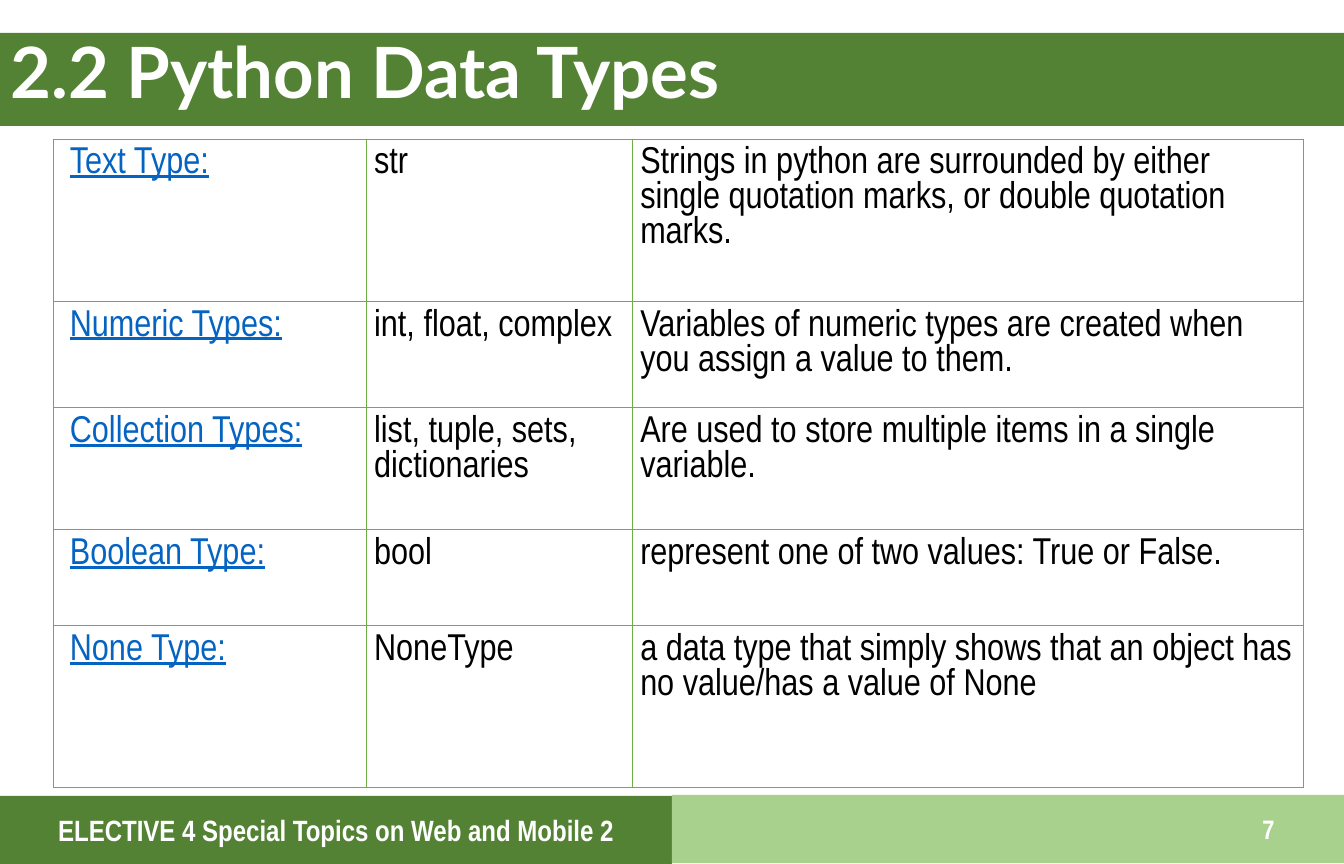
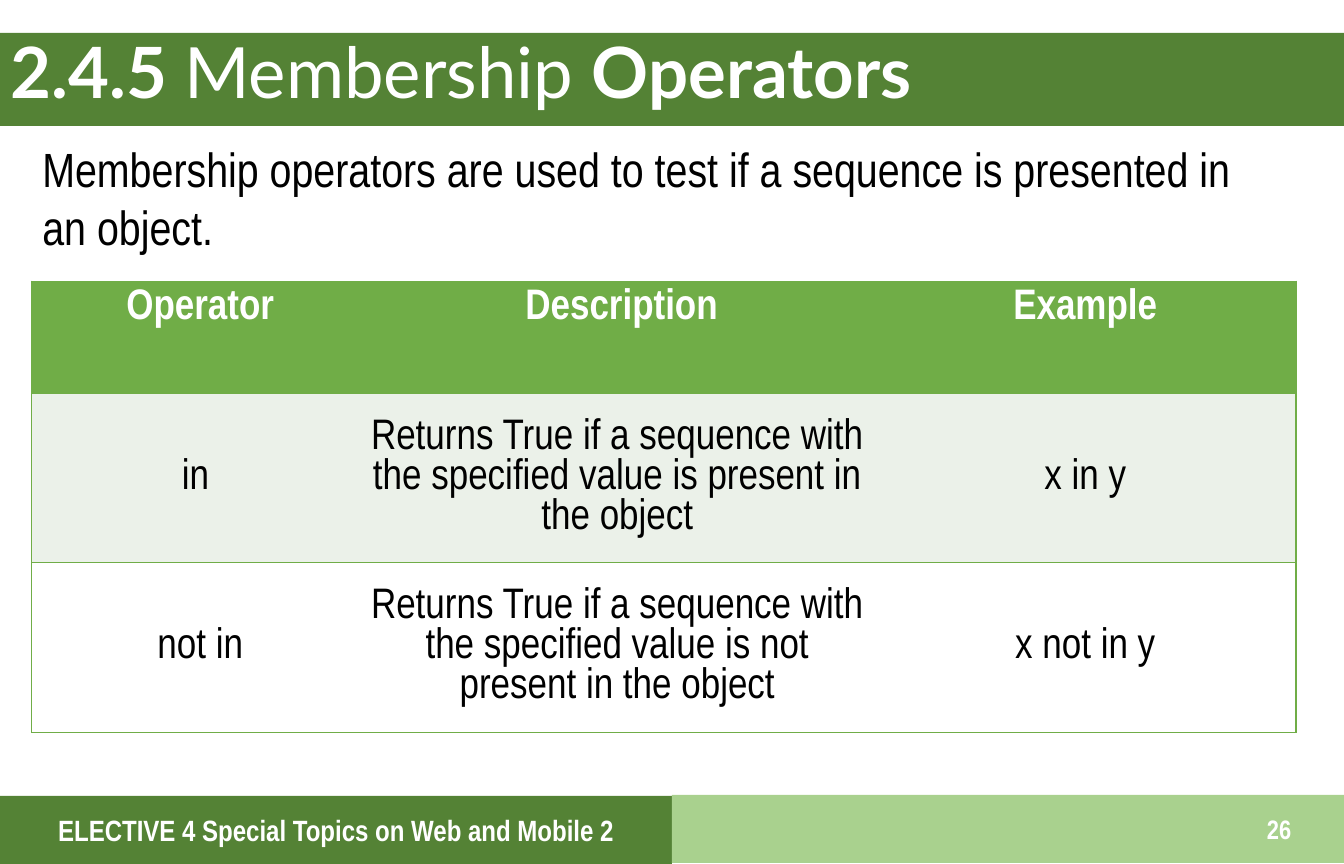
from dataclasses import dataclass

import pptx
import pptx.dml.color
import pptx.enum.shapes
import pptx.enum.text
import pptx.oxml
import pptx.oxml.ns
import pptx.util
from pptx.util import Cm

ALIGN = pptx.enum.text.PP_ALIGN
ANCHOR = pptx.enum.text.MSO_ANCHOR


@dataclass(frozen=True)
class Theme:
    dark: str = "548235"
    light: str = "A9D18E"
    accent: str = "70AD47"
    tint: str = "EBF1E9"
    link: str = "0563C1"
    white: str = "FFFFFF"
    black: str = "000000"
    title_font: str = "Lato"
    body_font: str = "Arial Narrow"
    title_size: float = 53
    body_size: float = 36
    header_size: float = 32
    cell_size: float = 28
    footer_size: float = 22
    number_size: float = 20
    title_spacing: float = 0.9
    border_width: float = 1


THEME = Theme()


@dataclass(frozen=True)
class Box:
    left: float
    top: float
    width: float
    height: float

    def lengths(self) -> tuple:
        return Cm(self.left), Cm(self.top), Cm(self.width), Cm(self.height)


@dataclass(frozen=True)
class Band:
    box: Box
    color: str


@dataclass(frozen=True)
class Style:
    size: float
    color: str
    font: str = THEME.body_font
    bold: bool = False
    underline: bool = False


@dataclass(frozen=True)
class Cell:
    text: str
    style: Style
    fill: str | None = None
    align: ALIGN = ALIGN.LEFT
    anchor: ANCHOR = ANCHOR.TOP
    left_inset: float = 0.2
    sides: str = "LRTB"


BANDS = (
    Band(Box(0, 0.87, 35.56, 2.46), THEME.dark),
    Band(Box(0, 21.06, 17.78, 1.8), THEME.dark),
    Band(Box(17.78, 21.03, 17.78, 1.8), THEME.light),
)
TITLE_BOX = Box(0, 0.76, 32.61, 2.46)
FOOTER_BOX = Box(0, 21.35, 17.78, 1.22)
NUMBER_BOX = Box(33.12, 21.36, 1.45, 1.22)
INTRO_BOX = Box(0.84, 3.55, 32.97, 3.35)
FOOTER = "ELECTIVE 4 Special Topics on Web and Mobile 2"
INTRO = "Membership operators are used to test if a sequence is presented in an object."

TITLE = Style(THEME.title_size, THEME.white, THEME.title_font, bold=True)
TITLE_LIGHT = Style(THEME.title_size, THEME.white, THEME.title_font)
FOOTER_STYLE = Style(THEME.footer_size, THEME.white, bold=True)
NUMBER_STYLE = Style(THEME.number_size, THEME.white, bold=True)
BODY = Style(THEME.body_size, THEME.black)
LINK = Style(THEME.cell_size, THEME.link, underline=True)
PLAIN = Style(THEME.cell_size, THEME.black)
HEADER = Style(THEME.header_size, THEME.white, bold=True)
ENTRY = Style(THEME.header_size, THEME.black)

DATA_TYPES = (
    ("Text Type:", "str",
     "Strings in python are surrounded by either single quotation marks, or double quotation marks."),
    ("Numeric Types:", "int, float, complex",
     "Variables of numeric types are created when you assign a value to them."),
    ("Collection Types:", "list, tuple, sets, dictionaries",
     "Are used to store multiple items in a single variable."),
    ("Boolean Type:", "bool",
     "represent one of two values: True or False."),
    ("None Type:", "NoneType",
     "a data type that simply shows that an object has no value/has a value of None"),
)
OPERATORS = (
    ("Operator", "Description", "Example"),
    ("in ", "Returns True if a sequence with the specified value is present in the object", "x in y"),
    ("not in", "Returns True if a sequence with the specified value is not present in the object", "x not in y"),
)


def rgb(color: str) -> pptx.dml.color.RGBColor:
    return pptx.dml.color.RGBColor.from_string(color)


def format_run(r, style: Style) -> None:
    r.font.name = style.font
    r.font.size = pptx.util.Pt(style.size)
    r.font.bold = style.bold
    r.font.underline = style.underline
    r.font.color.rgb = rgb(style.color)


def add_band(s, band: Band) -> None:
    sp = s.shapes.add_shape(pptx.enum.shapes.MSO_SHAPE.ROUNDED_RECTANGLE, *band.box.lengths())
    sp.adjustments[0] = 0
    sp.shadow.inherit = False
    sp.fill.solid()
    sp.fill.fore_color.rgb = rgb(band.color)
    sp.line.fill.background()


def add_text(s, box: Box, parts: list[tuple[str, Style]], align: ALIGN = ALIGN.LEFT,
             anchor: ANCHOR = ANCHOR.TOP, spacing: float | None = None) -> None:
    tf = s.shapes.add_textbox(*box.lengths()).text_frame
    tf.word_wrap = True
    tf.vertical_anchor = anchor
    tf.margin_left = tf.margin_right = Cm(0.28)
    tf.margin_top = tf.margin_bottom = Cm(0.15)
    p = tf.paragraphs[0]
    p.alignment = align
    p.line_spacing = spacing
    for text, style in parts:
        r = p.add_run()
        r.text = text
        format_run(r, style)


def set_borders(cell, sides: str) -> None:
    tc_pr = cell._tc.get_or_add_tcPr()
    width = pptx.util.Pt(THEME.border_width)
    for index, side in enumerate("LRTB"):
        paint = (f'<a:solidFill><a:srgbClr val="{THEME.accent}"/></a:solidFill>'
                 if side in sides else "<a:noFill/>")
        line = pptx.oxml.parse_xml(
            f'<a:ln{side} {pptx.oxml.ns.nsdecls("a")} w="{width}">{paint}</a:ln{side}>')
        tc_pr.insert(index, line)


def fill_cell(cell, content: Cell) -> None:
    cell.margin_left = Cm(content.left_inset)
    cell.margin_right = cell.margin_top = cell.margin_bottom = Cm(0.2)
    cell.vertical_anchor = content.anchor
    if content.fill:
        cell.fill.solid()
        cell.fill.fore_color.rgb = rgb(content.fill)
    else:
        cell.fill.background()
    set_borders(cell, content.sides)
    p = cell.text_frame.paragraphs[0]
    p.text = content.text
    p.alignment = content.align
    for r in p.runs:
        format_run(r, content.style)


def add_table(s, left: float, top: float, widths: tuple[float, ...],
              heights: tuple[float, ...], rows: list[list[Cell]]) -> None:
    box = Box(left, top, sum(widths), sum(heights))
    table = s.shapes.add_table(len(heights), len(widths), *box.lengths()).table
    table.first_row = table.horz_banding = False
    for column, width in zip(table.columns, widths):
        column.width = Cm(width)
    for row, height, contents in zip(table.rows, heights, rows):
        row.height = Cm(height)
        for cell, content in zip(row.cells, contents):
            fill_cell(cell, content)


def add_base(prs, title: list[tuple[str, Style]], number: str, number_align: ALIGN):
    s = prs.slides.add_slide(prs.slide_layouts[6])
    for band in BANDS:
        add_band(s, band)
    add_text(s, TITLE_BOX, title, anchor=ANCHOR.MIDDLE, spacing=THEME.title_spacing)
    add_text(s, FOOTER_BOX, [(FOOTER, FOOTER_STYLE)], ALIGN.CENTER, ANCHOR.MIDDLE)
    add_text(s, NUMBER_BOX, [(number, NUMBER_STYLE)], number_align)
    return s


def add_data_types(prs) -> None:
    s = add_base(prs, [("2.2 Python Data Types", TITLE)], "7", ALIGN.LEFT)
    rows = [[Cell(name, LINK, left_inset=0.43), Cell(types, PLAIN), Cell(meaning, PLAIN)]
            for name, types, meaning in DATA_TYPES]
    add_table(s, 1.42, 3.68, (8.28, 7.04, 17.75), (4.29, 2.82, 3.23, 2.54, 4.27), rows)


def operator_cell(text: str, row: int, column: int) -> Cell:
    is_header = row == 0
    return Cell(
        text,
        HEADER if is_header else ENTRY,
        (THEME.accent, THEME.tint, THEME.white)[row],
        ALIGN.CENTER,
        ANCHOR.TOP if is_header else ANCHOR.MIDDLE,
        0.43 if column == 0 or (is_header and column == 1) else 0.2,
        ("LTB", "TB", "RTB")[column],
    )


def add_membership(prs) -> None:
    title = [("2.4.5 ", TITLE), ("Membership ", TITLE_LIGHT), ("Operators", TITLE)]
    s = add_base(prs, title, "26", ALIGN.CENTER)
    add_text(s, INTRO_BOX, [(INTRO, BODY)])
    rows = [[operator_cell(text, i, j) for j, text in enumerate(texts)]
            for i, texts in enumerate(OPERATORS)]
    add_table(s, 0.84, 7.44, (8.69, 13.61, 11.15), (2.97, 4.48, 4.48), rows)


def main() -> None:
    prs = pptx.Presentation()
    prs.slide_width, prs.slide_height = Cm(35.56), Cm(22.86)
    add_data_types(prs)
    add_membership(prs)
    prs.save("out.pptx")


if __name__ == "__main__":
    main()
